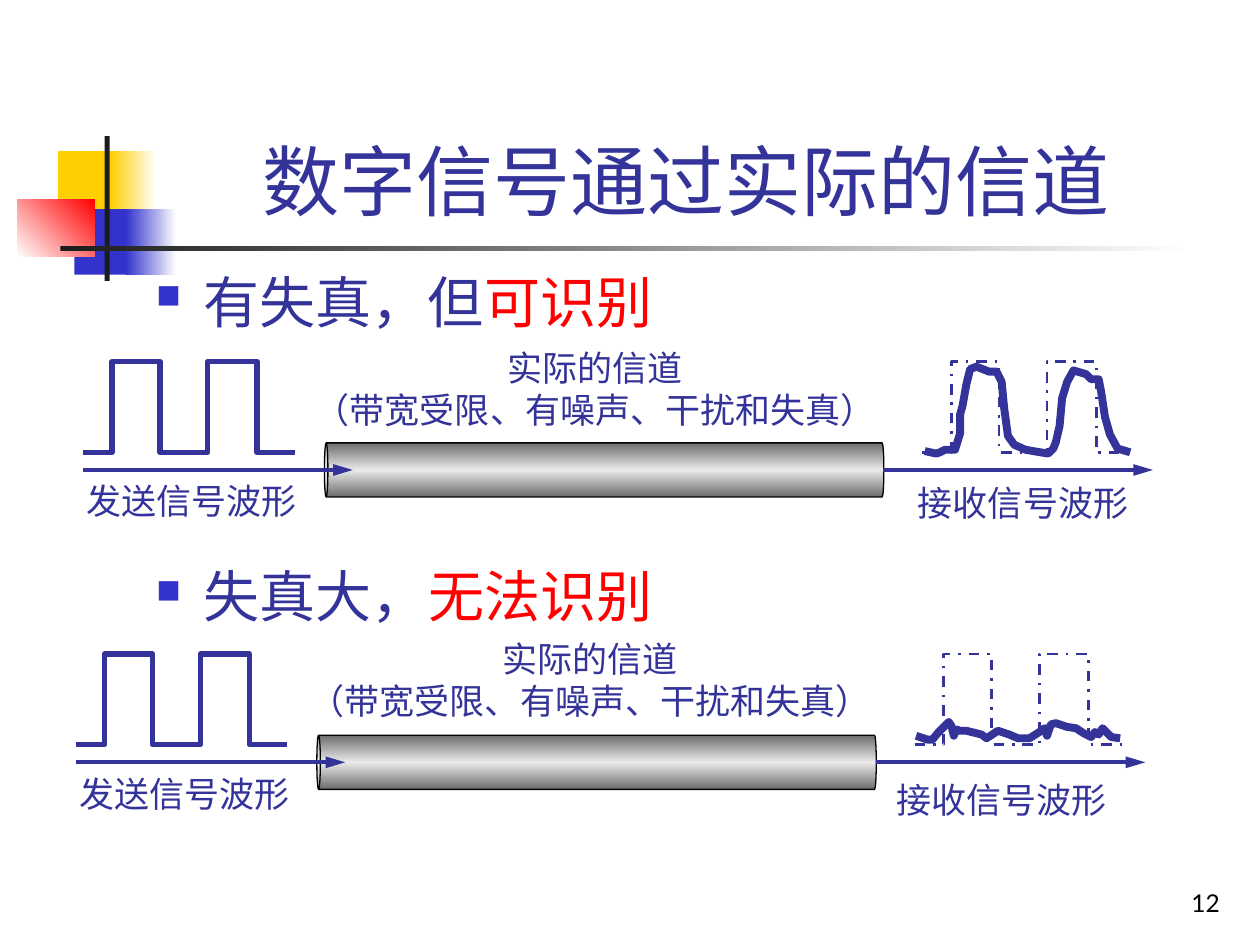
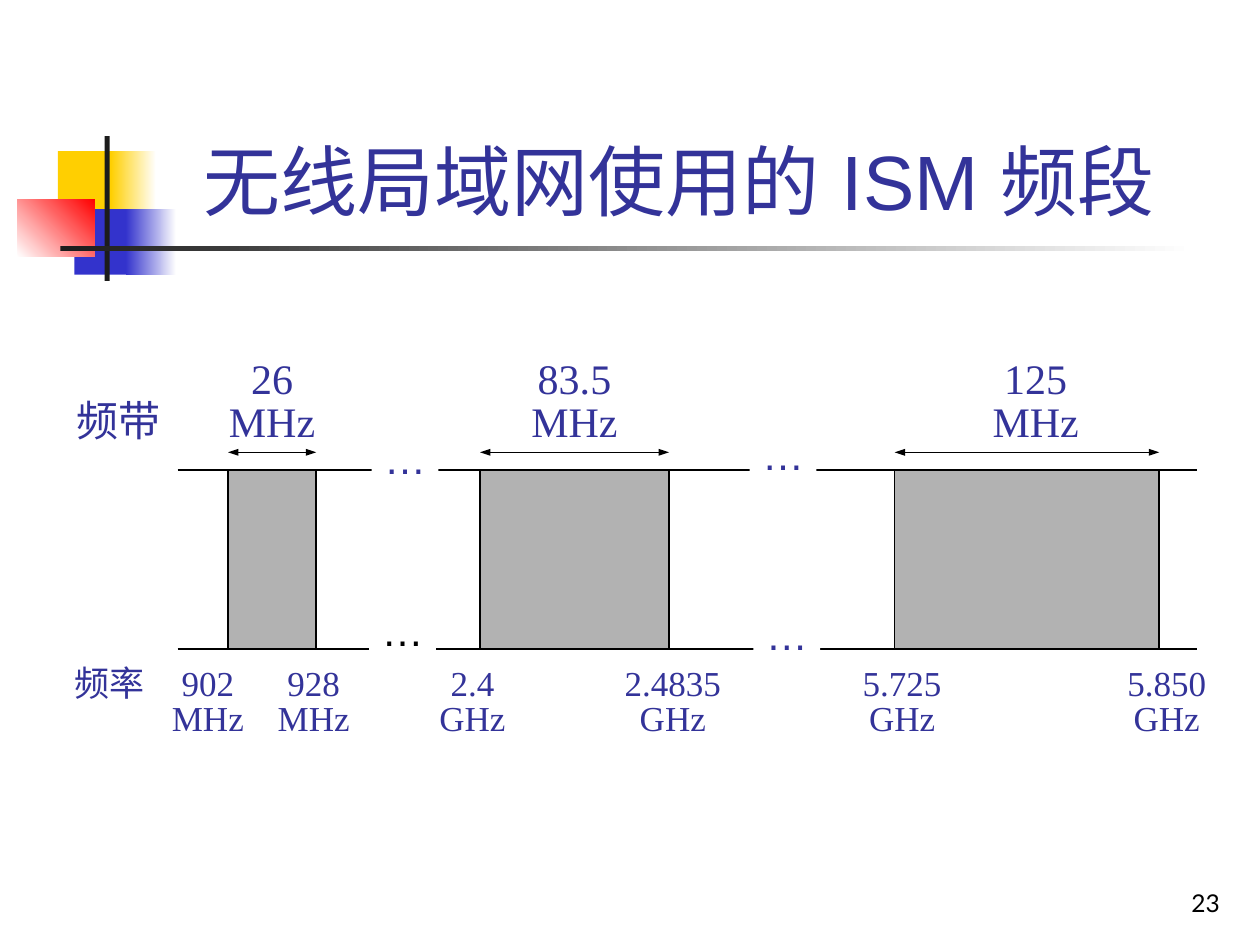
import pptx
import pptx.util
from lxml import etree
from pptx.dml.color import RGBColor
from pptx.enum.dml import MSO_LINE
from pptx.enum.shapes import MSO_CONNECTOR, MSO_SHAPE
from pptx.enum.text import MSO_ANCHOR, PP_ALIGN
from pptx.oxml.ns import qn
from pptx.util import Inches, Pt

COLORS = {
    "indigo": "333399", "blue": "3333CC", "yellow": "FFCF01", "red": "FF0000",
    "ink": "1C1C1C", "white": "FFFFFF", "black": "000000", "band": "B2B2B2",
    "pipe_edge": "6C6C6C", "pipe_light": "EAEAEA",
}
TITLE_FONT, LABEL_FONT = "Arial", "Times New Roman"
CJK_FONT, NUMBER_FONT = "Noto Sans CJK SC", "Lato"
# Chinese text beside serif figures stays sans serif
EAST_ASIAN_FONTS = {LABEL_FONT: TITLE_FONT}

# Box, gradient colours (one for a plain fill), angle
DECORATIONS = [
    ((0.46, 1.2, 0.48, 0.52), ["yellow"], 0),
    ((0.88, 1.2, 0.36, 0.52), ["yellow", "white"], 0),
    ((0.59, 1.66, 0.46, 0.52), ["blue"], 0),
    ((1, 1.66, 0.4, 0.52), ["blue", "white"], 0),
    ((0.14, 1.58, 0.61, 0.46), ["white", "red"], 45),
    ((0.83, 1.08, 0.04, 1.15), ["ink"], 0),
    ((0.48, 1.95, 9, 0.04), ["ink", "white"], 0),
]

CHANNEL_TITLE = "数字信号通过实际的信道 "
CHANNEL_POINTS = [
    [("有失真，但", "indigo"), ("可识别", "red")],
    [("失真大，", "indigo"), ("无法识别", "red")],
]
CHANNEL_LABEL = ["实际的信道", "（带宽受限、有噪声、干扰和失真）"]
SENT_LABEL, RECEIVED_LABEL = "发送信号波形", "接收信号波形"
PULSE_STEPS = [0.23, 0.38, 0.38, 0.39, 0.3]
PULSE_HEIGHT = 0.72
CHANNELS = [
    {
        "origin": (0.66, 2.87), "channel_label": (2.4, 2.7),
        "received_label": (7.07, 3.77),
        "received": [
            (7.34, 3.58), (7.43, 3.6), (7.46, 3.59), (7.5, 3.57), (7.58, 3.57),
            (7.62, 3.44), (7.62, 3.29), (7.64, 3.22), (7.67, 3.05), (7.7, 2.93),
            (7.75, 2.91), (7.85, 2.95), (7.91, 2.95), (7.95, 3.03), (7.97, 3.24),
            (8, 3.46), (8.05, 3.53), (8.14, 3.57), (8.2, 3.58), (8.32, 3.6),
            (8.36, 3.56), (8.38, 3.51), (8.41, 3.38), (8.43, 3.16), (8.47, 3.03),
            (8.52, 2.94), (8.62, 2.97), (8.66, 3.01), (8.72, 3.01), (8.74, 3.11),
            (8.77, 3.31), (8.81, 3.45), (8.87, 3.56), (8.97, 3.59),
        ],
    },
    {
        "origin": (0.6, 5.19), "channel_label": (2.36, 5.01),
        "received_label": (6.9, 6.13),
        "received": [
            (7.27, 5.84), (7.36, 5.87), (7.4, 5.87), (7.45, 5.81), (7.53, 5.73),
            (7.55, 5.76), (7.57, 5.84), (7.59, 5.79), (7.62, 5.8), (7.67, 5.8),
            (7.79, 5.83), (7.83, 5.86), (7.92, 5.8), (8.01, 5.83), (8.08, 5.86),
            (8.17, 5.86), (8.25, 5.81), (8.29, 5.78), (8.31, 5.84), (8.34, 5.75),
            (8.38, 5.74), (8.47, 5.77), (8.54, 5.78), (8.6, 5.82), (8.66, 5.85),
            (8.69, 5.81), (8.72, 5.83), (8.75, 5.78), (8.82, 5.85), (8.89, 5.86),
        ],
    },
]

ISM_TITLE = "无线局域网使用的 ISM 频段"
# Left edge, width, bandwidth in MHz, label centre
BANDS = [(1.81, 0.7, "26", 2.16), (3.81, 1.5, "83.5", 4.56),
         (7.1, 2.1, "125", 8.22)]
# Label centre, frequency, unit
FREQUENCIES = [
    (1.65, "902", "MHz"), (2.49, "928", "MHz"), (3.75, "2.4", "GHz"),
    (5.34, "2.4835", "GHz"), (7.16, "5.725", "GHz"), (9.26, "5.850", "GHz"),
]
BAND_TOP, BAND_BOTTOM = 3.73, 5.15
GAPS = [(2.95, 3.38, "indigo"), (2.93, 4.75, "black"),
        (5.95, 3.35, "indigo"), (5.98, 4.78, "indigo")]


def rgb(name):
    return RGBColor.from_string(COLORS[name])


def inches(values):
    return [Inches(value) for value in values]


def add_xml(parent, tag, **attributes):
    return etree.SubElement(parent, qn(tag), attributes)


def add_bullet(properties):
    """Square bullet: the letter n of Wingdings."""
    add_xml(add_xml(properties, "a:buClr"), "a:srgbClr", val=COLORS["blue"])
    add_xml(properties, "a:buSzPct", val="60000")
    add_xml(properties, "a:buFont", typeface="Wingdings", charset="2")
    add_xml(properties, "a:buChar", char="n")


def add_text(slide, paragraphs, box, *, size, font, color="indigo",
             align=PP_ALIGN.LEFT, anchor=MSO_ANCHOR.TOP, wrap=True, spacing=None,
             gap=0, indent=0, hanging=0, bullet=False, fill=None):
    """Each paragraph is a string or a list of (text, colour) runs."""
    shape = slide.shapes.add_textbox(*inches(box))
    if fill:
        shape.fill.solid()
        shape.fill.fore_color.rgb = rgb(fill)
    frame = shape.text_frame
    frame.word_wrap = wrap
    frame.vertical_anchor = anchor
    for index, runs in enumerate(paragraphs):
        paragraph = frame.add_paragraph() if index else frame.paragraphs[0]
        properties = paragraph._p.get_or_add_pPr()
        properties.set("marL", str(Inches(indent)))
        properties.set("indent", str(Inches(-hanging)))
        if bullet:
            add_bullet(properties)
        paragraph.alignment = align
        if spacing:
            paragraph.line_spacing = spacing
        if index and gap:
            paragraph.space_before = Pt(gap)
        for text, run_color in [(runs, color)] if isinstance(runs, str) else runs:
            run = paragraph.add_run()
            run.text = text
            run.font.size = Pt(size)
            run.font.name = font
            run.font.color.rgb = rgb(run_color)
            add_xml(run._r.get_or_add_rPr(), "a:ea",
                    typeface=EAST_ASIAN_FONTS.get(font, font))


def add_filled(slide, kind, box, colors, angle=0, outline=None):
    shape = slide.shapes.add_shape(kind, *inches(box))
    shape.shadow.inherit = False
    if len(colors) == 1:
        shape.fill.solid()
        shape.fill.fore_color.rgb = rgb(colors[0])
    else:
        shape.fill.gradient()
        shape.fill.gradient_angle = angle
        stops = shape._element.spPr.find(qn("a:gradFill")).find(qn("a:gsLst"))
        for stop in list(stops):
            stops.remove(stop)
        for index, color in enumerate(colors):
            position = 100000 * index // (len(colors) - 1)
            stop = add_xml(stops, "a:gs", pos=str(position))
            add_xml(stop, "a:srgbClr", val=COLORS[color])
    if outline:
        shape.line.color.rgb = rgb(outline)
        shape.line.width = Pt(0.75)
    else:
        shape.line.fill.background()
    return shape


def add_line(slide, start, end, color="black", width=0.75, arrows=(),
             head_width="med", head_length="med"):
    """arrows names the arrowed ends: headEnd at start, tailEnd at end."""
    connector = slide.shapes.add_connector(
        MSO_CONNECTOR.STRAIGHT, *inches(start), *inches(end))
    connector.line.color.rgb = rgb(color)
    connector.line.width = Pt(width)
    for arrow in arrows:
        add_xml(connector.line._get_or_add_ln(), f"a:{arrow}", type="triangle",
                w=head_width, len=head_length)
    add_xml(connector._element.spPr, "a:effectLst")


def add_trace(slide, points, width, dash=None):
    start, *others = [inches(point) for point in points]
    builder = slide.shapes.build_freeform(*start)
    builder.add_line_segments(others, close=False)
    shape = builder.convert_to_shape()
    shape.shadow.inherit = False
    shape.fill.background()
    shape.line.color.rgb = rgb("indigo")
    shape.line.width = Pt(width)
    if dash:
        shape.line.dash_style = dash
    add_xml(shape.line._get_or_add_ln(), "a:round")


def pulse_points(left, top):
    """Corners of two square pulses whose base line starts at left."""
    x, low = left, True
    base = top + PULSE_HEIGHT
    points = [(x, base)]
    for step in PULSE_STEPS:
        x += step
        points.append((x, base if low else top))
        low = not low
        points.append((x, base if low else top))
    return points[:-1]


def add_base_slide(presentation, title, number, **title_format):
    slide = presentation.slides.add_slide(presentation.slide_layouts[6])
    for box, colors, angle in DECORATIONS:
        add_filled(slide, MSO_SHAPE.RECTANGLE, box, colors, angle)
    add_text(slide, [title], (1.27, 0.24, 8.52, 1.6), size=44, font=TITLE_FONT,
             anchor=MSO_ANCHOR.BOTTOM, **title_format)
    add_text(slide, [str(number)], (7.7, 6.83, 2.08, 0.5), size=14,
             font=NUMBER_FONT, color="black", align=PP_ALIGN.RIGHT,
             anchor=MSO_ANCHOR.BOTTOM)
    return slide


def add_channel(slide, channel):
    left, top = channel["origin"]
    axis = top + 0.86
    pipe = add_filled(slide, MSO_SHAPE.CAN, (left + 3.92, top - 1.36, 0.43, 4.44),
                      ["pipe_edge", "pipe_light", "pipe_edge"], outline="black")
    pipe.adjustments[0] = 0.065
    pipe.rotation = 270
    add_trace(slide, pulse_points(left, top), 3)
    add_trace(slide, pulse_points(left + 6.66, top), 1.5, MSO_LINE.DASH_DOT)
    for start in (left, left + 6.35):
        add_line(slide, (start, axis), (start + 2.14, axis), "indigo", 2.25,
                 ["tailEnd"], head_length="lg")
    add_trace(slide, channel["received"], 4.5)
    add_text(slide, CHANNEL_LABEL, (*channel["channel_label"], 4.65, 0.77), size=20,
             font=LABEL_FONT, align=PP_ALIGN.CENTER, wrap=False)
    add_text(slide, [SENT_LABEL], (left - 0.07, top + 0.89, 1.87, 0.44), size=20,
             font=CJK_FONT, wrap=False)
    add_text(slide, [RECEIVED_LABEL], (*channel["received_label"], 2.1, 0.44),
             size=20, font=CJK_FONT, align=PP_ALIGN.CENTER)


def build_channel_slide(presentation):
    slide = add_base_slide(presentation, CHANNEL_TITLE, 12, align=PP_ALIGN.CENTER)
    add_text(slide, CHANNEL_POINTS, (1.14, 2.02, 8.5, 4.5), size=32,
             font=TITLE_FONT, spacing=1.1, gap=126, indent=0.38, hanging=0.38,
             bullet=True)
    for channel in CHANNELS:
        add_channel(slide, channel)


def add_value_label(slide, value, unit, center, top, size):
    width = 1.2
    add_text(slide, [value, unit], (center - width / 2, top, width, 0.75),
             size=size, font=LABEL_FONT, align=PP_ALIGN.CENTER, spacing=0.85)


def build_ism_slide(presentation):
    slide = add_base_slide(presentation, ISM_TITLE, 23, indent=0.25)
    for text, left, top, size in [("频带", 0.51, 3.14, 24), ("频率", 0.49, 5.25, 20)]:
        add_text(slide, [text], (left, top, 0.9, 0.45), size=size,
                 font=LABEL_FONT, spacing=0.85)
    for center, value, unit in FREQUENCIES:
        add_value_label(slide, value, unit, center, 5.25, 20)
    for y in (BAND_TOP, BAND_BOTTOM):
        add_line(slide, (1.41, y), (9.5, y))
    for left, width, bandwidth, center in BANDS:
        add_value_label(slide, bandwidth, "MHz", center, 2.81, 24)
        add_filled(slide, MSO_SHAPE.RECTANGLE,
                   (left, BAND_TOP, width, BAND_BOTTOM - BAND_TOP), ["band"],
                   outline="black")
        add_line(slide, (left, 3.59), (left + width, 3.59),
                 arrows=["headEnd", "tailEnd"], head_width="sm")
    for left, top, color in GAPS:
        add_text(slide, ["…"], (left, top, 0.53, 0.5), size=24, font=TITLE_FONT,
                 color=color, wrap=False, fill="white")


def main():
    presentation = pptx.Presentation()
    presentation.slide_width, presentation.slide_height = inches((10, 7.5))
    build_channel_slide(presentation)
    build_ism_slide(presentation)
    presentation.save("out.pptx")


if __name__ == "__main__":
    main()
